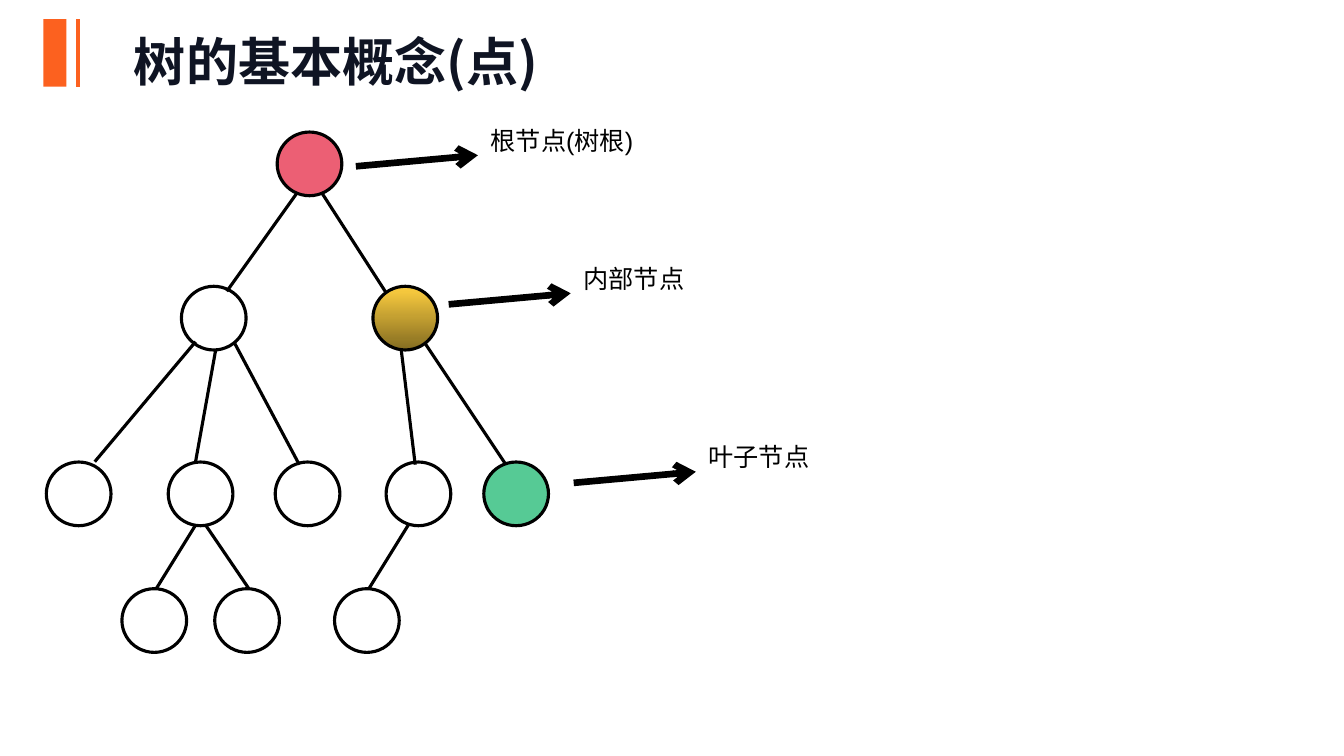
from typing import NamedTuple

from lxml import etree
from pptx import Presentation
from pptx.dml.color import RGBColor
from pptx.enum.shapes import MSO_AUTO_SHAPE_TYPE, MSO_CONNECTOR
from pptx.enum.text import MSO_ANCHOR
from pptx.oxml.ns import qn
from pptx.util import Pt

OVAL = MSO_AUTO_SHAPE_TYPE.OVAL
RECT = MSO_AUTO_SHAPE_TYPE.RECTANGLE
STRAIGHT = MSO_CONNECTOR.STRAIGHT
MIDDLE = MSO_ANCHOR.MIDDLE
TOP = MSO_ANCHOR.TOP

COLORS = {
    "accent": "FC611F", "title": "0F1423", "ink": "000000",
    "root": "EC5F74", "gold": "FECF40", "bronze": "846C21", "leaf": "56CA95",
}
HAN = "Noto Sans CJK SC"
LATIN = "Arial"
NODE_W, NODE_H = 46.2, 45.5
THIN, THICK = 2.25, 4.75


class Node(NamedTuple):
    left: float
    top: float
    fills: tuple[str, ...] = ()


class Edge(NamedTuple):
    x1: float
    y1: float
    x2: float
    y2: float


class Label(NamedTuple):
    text: str
    left: float
    top: float


ROWS = (94.3, 204.5, 330, 420.5)
NODES = (
    Node(198, ROWS[0], ("root",)),
    Node(129.6, ROWS[1]),
    Node(266.4, ROWS[1], ("gold", "bronze")),
    Node(33.1, ROWS[2]),
    Node(120.2, ROWS[2]),
    Node(196.6, ROWS[2]),
    Node(275.8, ROWS[2]),
    Node(345.6, ROWS[2], ("leaf",)),
    Node(87.1, ROWS[3]),
    Node(153.4, ROWS[3]),
    Node(239, ROWS[3]),
)
EDGES = (
    Edge(212.4, 137.5, 162, 208.1),
    Edge(229.7, 137.5, 276.5, 210.2),
    Edge(139.7, 244.1, 67.7, 329.8),
    Edge(154.1, 249.8, 139.7, 329.8),
    Edge(167.8, 245.5, 213.8, 331.9),
    Edge(286.6, 249.8, 296.6, 331.9),
    Edge(303.8, 245.5, 361.4, 331.9),
    Edge(139.7, 375.1, 111.6, 420.5),
    Edge(146.9, 375.1, 177.8, 420.5),
    Edge(291.6, 375.1, 263.5, 420.5),
)
LABELS = (
    Label("根节点(树根)", 343.4, 85.7),
    Label("内部节点", 409.7, 184.3),
    Label("叶子节点", 499, 311.8),
)


def tint(name: str) -> RGBColor:
    return RGBColor.from_string(COLORS[name])


def add_line(slide, edge: Edge, color: str, width: float, arrow: bool = False) -> None:
    line = slide.shapes.add_connector(STRAIGHT, *(Pt(v) for v in edge))
    line.line.color.rgb = tint(color)
    line.line.width = Pt(width)
    props = line.line._get_or_add_ln()
    if arrow:
        etree.SubElement(props, qn("a:tailEnd"), type="arrow")
    etree.SubElement(props.getparent(), qn("a:effectLst"))


def add_node(slide, node: Node) -> None:
    oval = slide.shapes.add_shape(
        OVAL, Pt(node.left), Pt(node.top), Pt(NODE_W), Pt(NODE_H))
    oval.shadow.inherit = False
    oval.line.color.rgb = tint("ink")
    oval.line.width = Pt(THIN)
    if not node.fills:
        oval.fill.background()
    elif len(node.fills) == 1:
        oval.fill.solid()
        oval.fill.fore_color.rgb = tint(node.fills[0])
    else:
        oval.fill.gradient()
        oval.fill.gradient_angle = 270
        for place, (stop, name) in enumerate(zip(oval.fill.gradient_stops, node.fills)):
            stop.color.rgb = tint(name)
            stop.position = place


def add_text(slide, label: Label, width: float, height: float, size: float,
             color: str, face: str, bold: bool = False, anchor=TOP,
             pitch: float | None = None) -> None:
    box = slide.shapes.add_textbox(
        Pt(label.left), Pt(label.top), Pt(width), Pt(height))
    frame = box.text_frame
    frame.word_wrap = True
    frame.vertical_anchor = anchor
    para = frame.paragraphs[0]
    if pitch:
        para.line_spacing = Pt(pitch)
    run = para.add_run()
    run.text = label.text
    font = run.font
    font.size = Pt(size)
    font.bold = bold
    font.color.rgb = tint(color)
    font.name = face
    etree.SubElement(run._r.get_or_add_rPr(), qn("a:ea"), typeface=HAN)


def add_head(slide) -> None:
    bar = slide.shapes.add_shape(RECT, Pt(31), Pt(13.7), Pt(16.5), Pt(48.2))
    bar.shadow.inherit = False
    bar.fill.solid()
    bar.fill.fore_color.rgb = tint("accent")
    bar.line.fill.background()
    add_line(slide, Edge(55.6, 13.7, 55.6, 61.9), "accent", 3)
    add_text(slide, Label("树的基本概念(点)", 88.6, -12.2), 736.6, 97.9, 37.2,
             "title", HAN, bold=True, anchor=MIDDLE, pitch=58)


def main() -> None:
    deck = Presentation()
    deck.slide_width, deck.slide_height = Pt(960), Pt(540)
    slide = deck.slides.add_slide(deck.slide_layouts[6])
    add_head(slide)
    for edge in EDGES:
        add_line(slide, edge, "ink", THIN)
    for node in NODES:
        add_node(slide, node)
    for label in LABELS:
        x, y = label.left, label.top
        add_line(slide, Edge(x - 89.2, y + 33.1, x - 2, y + 25.2),
                 "ink", THICK, arrow=True)
        add_text(slide, label, 117.4, 28.8, 18, "ink", LATIN)
    deck.save("out.pptx")


if __name__ == "__main__":
    main()
